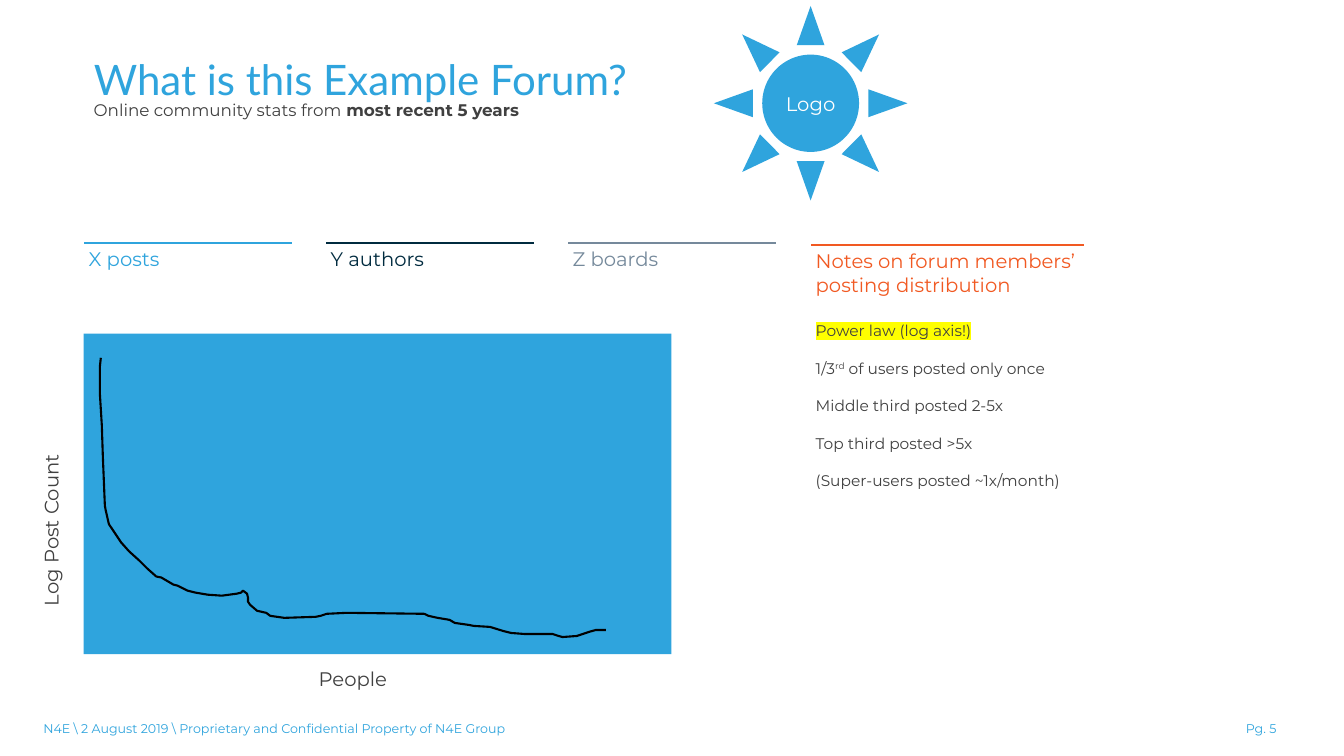
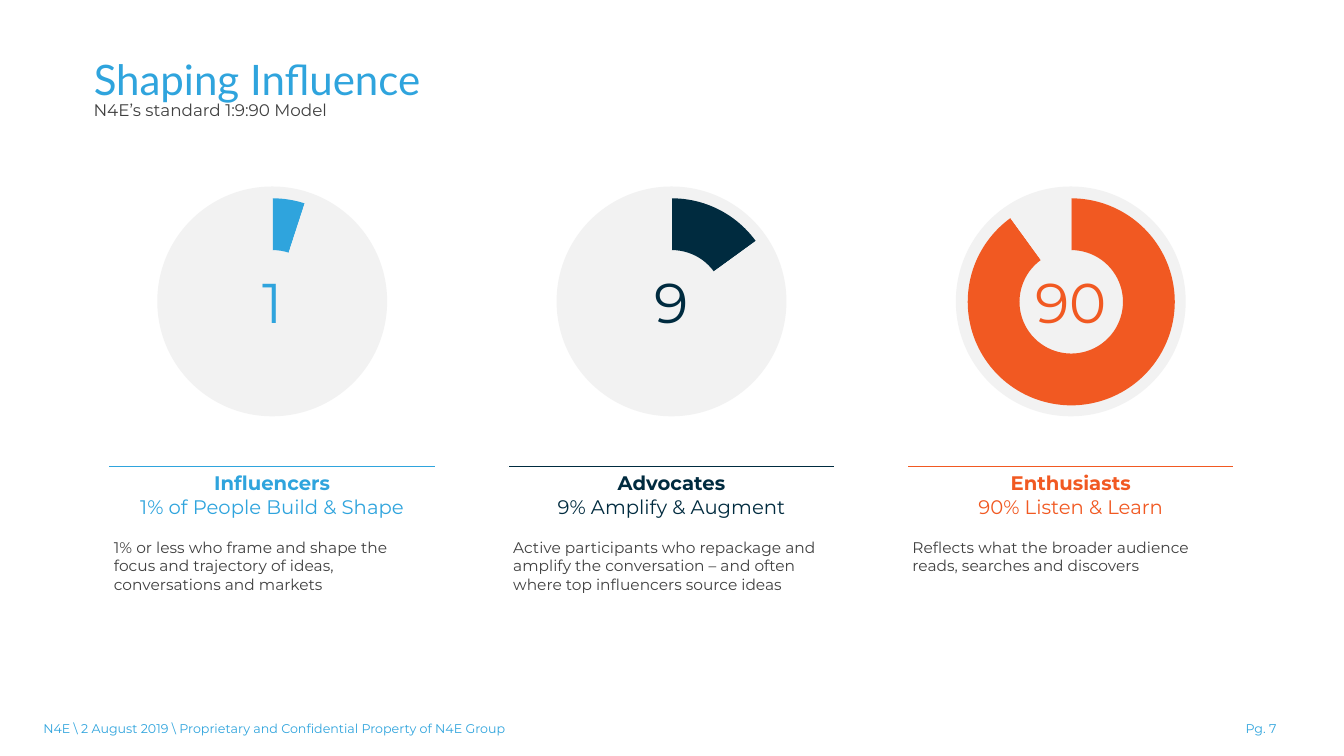
from lxml import etree
from pptx import Presentation
from pptx.chart.data import CategoryChartData
from pptx.dml.color import RGBColor
from pptx.enum.chart import XL_CHART_TYPE
from pptx.enum.shapes import MSO_SHAPE
from pptx.enum.text import MSO_ANCHOR, PP_ALIGN
from pptx.oxml import parse_xml
from pptx.oxml.ns import nsdecls, qn
from pptx.util import Inches, Pt

BLUE = RGBColor(0x2F, 0xA4, 0xDD)
NAVY = RGBColor(0x00, 0x2B, 0x3F)
SLATE = RGBColor(0x75, 0x89, 0x9B)
ORANGE = RGBColor(0xF1, 0x59, 0x22)
DARK = RGBColor(0x40, 0x40, 0x40)
PALE = RGBColor(0xF2, 0xF2, 0xF2)
WHITE = RGBColor(0xFF, 0xFF, 0xFF)
BLACK = RGBColor(0x00, 0x00, 0x00)

LEFT, CENTER, RIGHT = PP_ALIGN.LEFT, PP_ALIGN.CENTER, PP_ALIGN.RIGHT
TOP, MIDDLE, BOTTOM = MSO_ANCHOR.TOP, MSO_ANCHOR.MIDDLE, MSO_ANCHOR.BOTTOM
RECT, OVAL, SUN = MSO_SHAPE.RECTANGLE, MSO_SHAPE.OVAL, MSO_SHAPE.SUN
RING = XL_CHART_TYPE.DOUGHNUT
FONT = "Montserrat"
LINE = 1.22


def say(para, text, size, color, bold=False, font=FONT):
    run = para.add_run()
    run.text = text
    run.font.name = font
    run.font.size = Pt(size)
    run.font.bold = bold
    run.font.color.rgb = color
    return run


def card(slide, left, top, width, height, color):
    table = slide.shapes.add_table(
        1, 1, Inches(left), Inches(top), Inches(width), Inches(height)).table
    table.first_row = table.horz_banding = False
    cell = table.cell(0, 0)
    cell.margin_left = cell.margin_right = Inches(0.05)
    cell.margin_top = cell.margin_bottom = Inches(0.05)
    cell.fill.background()
    edge = parse_xml(
        f'<a:lnT {nsdecls("a")} w="12700"><a:solidFill>'
        f'<a:srgbClr val="{color}"/></a:solidFill></a:lnT>')
    cell._tc.get_or_add_tcPr().insert(0, edge)
    return cell.text_frame


deck = Presentation()
deck.slide_width, deck.slide_height = Inches(13.33), Inches(7.5)

pages = [
    ("What is this Example Forum?", "Pg. 5",
     [("Online community stats from ", False), ("most recent 5 years", True)]),
    ("Shaping Influence", "Pg. 7", [("N4E’s standard 1:9:90 Model", False)]),
]
owner = "N4E \\ 2 August 2019 \\ Proprietary and Confidential Property of N4E Group"

for title, page, lead in pages:
    slide = deck.slides.add_slide(deck.slide_layouts[5])
    head = slide.shapes.title
    head.left, head.top = Inches(0.83), Inches(0.41)
    head.width, head.height = Inches(11.54), Inches(0.62)
    frame = head.text_frame
    frame.vertical_anchor = BOTTOM
    frame.margin_bottom = 0
    para = frame.paragraphs[0]
    para.alignment = LEFT
    para.line_spacing = Pt(28)
    say(para, title, 30, BLUE, font="Lato")

    boxes = [
        (9.39, 7.1, 3.27, 0.25, 0, 0.05, RIGHT, 1, 9, BLUE, [(page, False)]),
        (0.43, 7.1, 5.98, 0.25, 0, 0.05, LEFT, 1, 9, BLUE, [(owner, False)]),
        (0.83, 1.01, 11.54, 0.23, 0.1, 0, LEFT, 0.9, 12, DARK, lead),
    ]
    for left, top, width, height, side, upper, align, gap, size, color, runs in boxes:
        frame = slide.shapes.add_textbox(
            Inches(left), Inches(top), Inches(width), Inches(height)).text_frame
        frame.word_wrap = True
        frame.vertical_anchor = TOP
        frame.margin_left = frame.margin_right = Inches(side)
        frame.margin_top, frame.margin_bottom = Inches(upper), Inches(0.05)
        para = frame.paragraphs[0]
        para.alignment = align
        para.line_spacing = gap
        for text, bold in runs:
            say(para, text, size, color, bold)

forum, model = deck.slides

stats = [("X posts", BLUE), ("Y authors", NAVY), ("Z boards", SLATE)]
for i, (text, color) in enumerate(stats):
    frame = card(forum, 0.83 + 2.4 * i, 2.41, 2.07, 0.52, color)
    say(frame.paragraphs[0], text, 14, color)

frame = card(forum, 8.04, 2.43, 2.72, 2.45, ORANGE)
say(frame.paragraphs[0], "Notes on forum members’ posting distribution", 14, ORANGE)
notes = [
    ["Power law (log axis!)"],
    ["1/3", "rd", " of users posted only once"],
    ["Middle third posted 2-5x"],
    ["Top third posted >5x"],
    ["(Super-users posted ~1x/month)"],
]
for i, parts in enumerate(notes):
    para = frame.add_paragraph()
    para.space_before = Pt(LINE * (11 if i else 14))
    for text in parts:
        props = say(para, text, 11, DARK)._r.get_or_add_rPr()
        if text == "rd":
            props.set("baseline", "30000")
        if i == 0:
            mark = etree.Element(qn("a:highlight"))
            etree.SubElement(mark, qn("a:srgbClr"), val="FFFF00")
            props.find(qn("a:solidFill")).addnext(mark)

shapes = [(RECT, 0.83, 3.31, 5.83, 3.18), (SUN, 7.08, 0.06, 1.92, 1.93)]
for kind, left, top, width, height in shapes:
    shape = forum.shapes.add_shape(
        kind, Inches(left), Inches(top), Inches(width), Inches(height))
    shape.shadow.inherit = False
    shape.fill.solid()
    shape.fill.fore_color.rgb = BLUE
    shape.line.fill.background()
frame = shape.text_frame
frame.vertical_anchor = MIDDLE
frame.margin_left = frame.margin_right = Inches(0.05)
frame.paragraphs[0].alignment = CENTER
say(frame.paragraphs[0], "Logo", 14, WHITE)

curve = [
    (1, 3.55), (0.99, 3.64), (0.99, 3.9), (1.01, 4.22), (1.02, 4.53),
    (1.04, 5.02), (1.05, 5.07), (1.08, 5.2), (1.14, 5.29), (1.2, 5.38),
    (1.28, 5.47), (1.38, 5.56), (1.46, 5.64), (1.55, 5.72), (1.6, 5.73),
    (1.72, 5.8), (1.76, 5.81), (1.86, 5.86), (1.94, 5.88), (2.06, 5.9),
    (2.2, 5.91), (2.35, 5.89), (2.39, 5.88), (2.41, 5.86), (2.45, 5.89),
    (2.46, 5.93), (2.46, 5.97), (2.48, 6), (2.55, 6.06), (2.64, 6.08),
    (2.68, 6.11), (2.82, 6.13), (3.13, 6.12), (3.18, 6.11), (3.24, 6.09),
    (3.44, 6.08), (4.21, 6.09), (4.25, 6.11), (4.34, 6.13), (4.46, 6.15),
    (4.51, 6.18), (4.65, 6.2), (4.7, 6.21), (4.86, 6.22), (4.99, 6.26),
    (5.07, 6.28), (5.2, 6.29), (5.48, 6.29), (5.54, 6.31), (5.58, 6.32),
    (5.72, 6.31), (5.84, 6.27), (5.91, 6.25), (6.01, 6.25),
]
spots = [(Inches(x), Inches(y)) for x, y in curve]
pen = forum.shapes.build_freeform(*spots[0])
pen.add_line_segments(spots[1:], close=False)
trace = pen.convert_to_shape()
trace.shadow.inherit = False
trace.fill.background()
trace.line.color.rgb = BLACK
trace.line.width = Pt(1.5)

axes = [
    ("Log Post Count", -0.55, 5.09, 2.11, 270),
    ("People", 2.78, 6.56, 1.44, 0),
]
for text, left, top, width, turn in axes:
    label = forum.shapes.add_textbox(
        Inches(left), Inches(top), Inches(width), Inches(0.34))
    label.rotation = turn
    frame = label.text_frame
    frame.word_wrap = True
    frame.vertical_anchor = MIDDLE
    frame.margin_left = frame.margin_right = Inches(0.05)
    frame.paragraphs[0].alignment = CENTER
    say(frame.paragraphs[0], text, 14, DARK)

groups = [
    ("1", 5, BLUE, "Influencers", "1% of People Build & Shape",
     "1% or less who frame and shape the focus and trajectory of ideas, "
     "conversations and markets"),
    ("9", 15, NAVY, "Advocates", "9% Amplify & Augment",
     "Active participants who repackage and amplify the conversation – and often "
     "where top influencers source ideas"),
    ("90", 90, ORANGE, "Enthusiasts", "90% Listen & Learn",
     "Reflects what the broader audience reads, searches and discovers"),
]
for i, (count, share, color, name, role, about) in enumerate(groups):
    left = 1.08 + 3.96 * i
    frame = card(model, left, 4.63, 3.24, 1.3, color)
    para = frame.paragraphs[0]
    para.alignment = CENTER
    say(para, name, 14, color, True)
    para = frame.add_paragraph()
    para.alignment = CENTER
    say(para, role, 14, color)
    para = frame.add_paragraph()
    para.space_before = Pt(LINE * 11)
    say(para, about, 11, DARK)

    disc = model.shapes.add_shape(
        OVAL, Inches(left + 0.48), Inches(1.85), Inches(2.28), Inches(2.28))
    disc.shadow.inherit = False
    disc.fill.solid()
    disc.fill.fore_color.rgb = PALE
    disc.line.fill.background()
    frame = disc.text_frame
    frame.vertical_anchor = MIDDLE
    frame.paragraphs[0].alignment = CENTER
    say(frame.paragraphs[0], count, 40, color)

    data = CategoryChartData()
    data.categories = ["1", "2"]
    data.add_series("Series 1", [share, 100 - share])
    chart = model.shapes.add_chart(
        RING, Inches(left + 0.28), Inches(1.83), Inches(2.69), Inches(2.33), data).chart
    chart.has_legend = chart.has_title = False
    chart.font.name = FONT
    chart.font.size = Pt(10)
    chart.font.color.rgb = BLACK
    plot = chart.plots[0]
    plot.vary_by_categories = False
    plot._element.find(qn("c:holeSize")).set("val", "90")
    for j, tint in enumerate([color, PALE]):
        point = plot.series[0].points[j].format
        point.fill.solid()
        point.fill.fore_color.rgb = tint
        point.line.fill.background()

deck.save("out.pptx")
